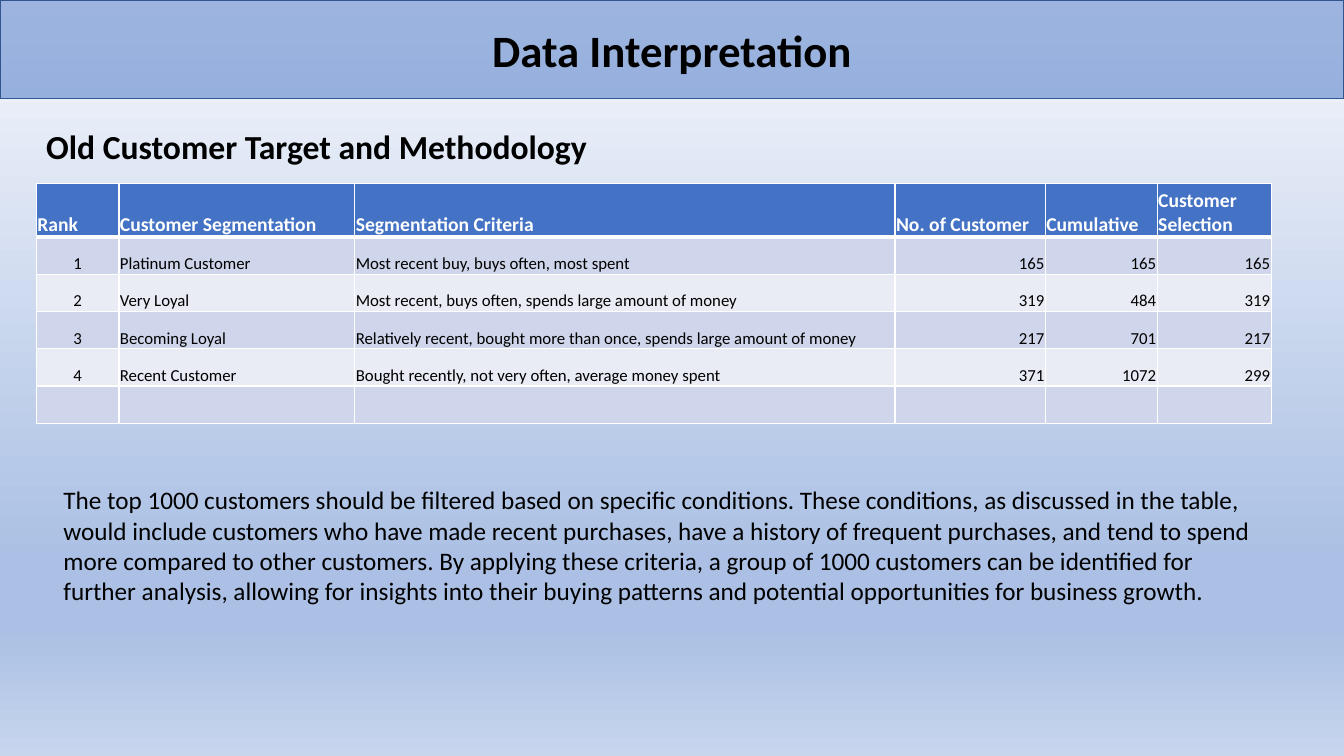
from lxml import etree
from pptx import Presentation
from pptx.dml.color import RGBColor
from pptx.enum.text import MSO_ANCHOR, MSO_AUTO_SIZE, PP_ALIGN
from pptx.oxml.ns import qn
from pptx.util import Inches, Pt

LEFT, MID, RIGHT = PP_ALIGN.LEFT, PP_ALIGN.CENTER, PP_ALIGN.RIGHT
CENTER, LOW = MSO_ANCHOR.MIDDLE, MSO_ANCHOR.BOTTOM
FIXED, GROW = MSO_AUTO_SIZE.NONE, MSO_AUTO_SIZE.SHAPE_TO_FIT_TEXT
BLACK, WHITE, BLUE = "000000", "FFFFFF", "4472C4"
EDGE, DARK, PALE = "325491", "CFD5EA", "E9EBF5"
SKY = [(0, "F6F8FC"), (74, "ABC0E4"), (83, "ABC0E4"), (100, "C7D5ED")]
COLS = [6.15, 17.55, 40.2, 11.18, 8.33, 8.48]
HEAD, ROW = 7.07, 4.93
ALIGN = [MID, LEFT, LEFT, RIGHT, RIGHT, RIGHT]
NAMES = ["Rank", "Customer Segmentation", "Segmentation Criteria",
         "No. of Customer", "Cumulative", "Customer Selection"]
RANKS = [
    ["1", "Platinum Customer", "Most recent buy, buys often, most spent",
     "165", "165", "165"],
    ["2", "Very Loyal", "Most recent, buys often, spends large amount of money",
     "319", "484", "319"],
    ["3", "Becoming Loyal",
     "Relatively recent, bought more than once, spends large amount of money",
     "217", "701", "217"],
    ["4", "Recent Customer", "Bought recently, not very often, average money spent",
     "371", "1072", "299"],
    [""] * 6,
]
NOTE = (
    "The top 1000 customers should be filtered based on specific conditions. "
    "These conditions, as discussed in the table, would include customers who "
    "have made recent purchases, have a history of frequent purchases, and tend "
    "to spend more compared to other customers. By applying these criteria, a "
    "group of 1000 customers can be identified for further analysis, allowing "
    "for insights into their buying patterns and potential opportunities for "
    "business growth."
)


def color(code):
    return RGBColor.from_string(code)


def write(frame, text, size=18, bold=False, tint=BLACK, align=LEFT):
    para = frame.paragraphs[0]
    para.alignment = align
    if not text:
        para.font.size = Pt(size)
        return
    run = para.add_run()
    run.text = text
    font = run.font
    font.name, font.size, font.bold = "Calibri", Pt(size), bold
    font.color.rgb = color(tint)


def border(cell, side, width):
    line = etree.SubElement(cell._tc.get_or_add_tcPr(), qn(f"a:ln{side}"),
                            w=str(Pt(width)))
    fill = etree.SubElement(line, qn("a:solidFill"))
    etree.SubElement(fill, qn("a:srgbClr"), val=WHITE)


class Deck:
    def __init__(self):
        self.show = Presentation()
        self.show.slide_width = Inches(13.33)
        self.show.slide_height = Inches(7.5)
        self.slide = self.show.slides.add_slide(self.show.slide_layouts[5])

    def wide(self, share):
        return round(self.show.slide_width * share / 100)

    def high(self, share):
        return round(self.show.slide_height * share / 100)

    def area(self, x, y, w, h):
        return self.wide(x), self.high(y), self.wide(w), self.high(h)

    def sky(self, stops):
        fill = self.slide.background.fill
        fill.gradient()
        fill.gradient_angle = 270
        ramp = next(self.slide.element.iter(qn("a:gsLst")))
        for stop in list(ramp):
            ramp.remove(stop)
        for place, code in stops:
            stop = etree.SubElement(ramp, qn("a:gs"), pos=str(place * 1000))
            etree.SubElement(stop, qn("a:srgbClr"), val=code)

    def title(self, text, *place):
        band = self.slide.shapes.title
        band.left, band.top, band.width, band.height = self.area(*place)
        band.fill.solid()
        band.fill.fore_color.rgb = color(BLUE)
        tone = next(band.element.spPr.iter(qn("a:srgbClr")))
        etree.SubElement(tone, qn("a:alpha"), val="50000")
        band.line.color.rgb = color(EDGE)
        band.line.width = Pt(1)
        frame = band.text_frame
        frame.auto_size, frame.vertical_anchor = FIXED, CENTER
        write(frame, text, size=32, bold=True, align=MID)

    def text(self, text, *place, **style):
        frame = self.slide.shapes.add_textbox(*self.area(*place)).text_frame
        frame.word_wrap, frame.auto_size = True, GROW
        write(frame, text, **style)

    def cell(self, cell, text, fill, top, base, **style):
        cell.margin_left = cell.margin_right = cell.margin_top = Inches(0.01)
        cell.margin_bottom = 0
        cell.vertical_anchor = LOW
        for side, width in zip("LRTB", (1, 1, top, base)):
            border(cell, side, width)
        cell.fill.solid()
        cell.fill.fore_color.rgb = color(fill)
        write(cell.text_frame, text, **style)

    def table(self, x, y):
        tall = HEAD + ROW * len(RANKS)
        grid = self.slide.shapes.add_table(
            len(RANKS) + 1, len(COLS), *self.area(x, y, sum(COLS), tall)).table
        for col, share in zip(grid.columns, COLS):
            col.width = self.wide(share)
        for i, row in enumerate(grid.rows):
            row.height = self.high(ROW if i else HEAD)
        for j, name in enumerate(NAMES):
            self.cell(grid.cell(0, j), name, BLUE, 1, 3,
                      size=14, bold=True, tint=WHITE)
        for i, row in enumerate(RANKS, 1):
            for j, text in enumerate(row):
                self.cell(grid.cell(i, j), text, DARK if i % 2 else PALE,
                          3 if i == 1 else 1, 1, size=12, align=ALIGN[j])


def main():
    deck = Deck()
    deck.sky(SKY)
    deck.title("Data Interpretation", 0, 0, 100, 13.07)
    deck.text("Old Customer Target and Methodology", 2.7, 16, 63.75, 6.67,
              size=24, bold=True)
    deck.table(2.7, 24.27)
    deck.text(NOTE, 3.98, 63.47, 90.6, 17.47)
    deck.show.save("out.pptx")


if __name__ == "__main__":
    main()
